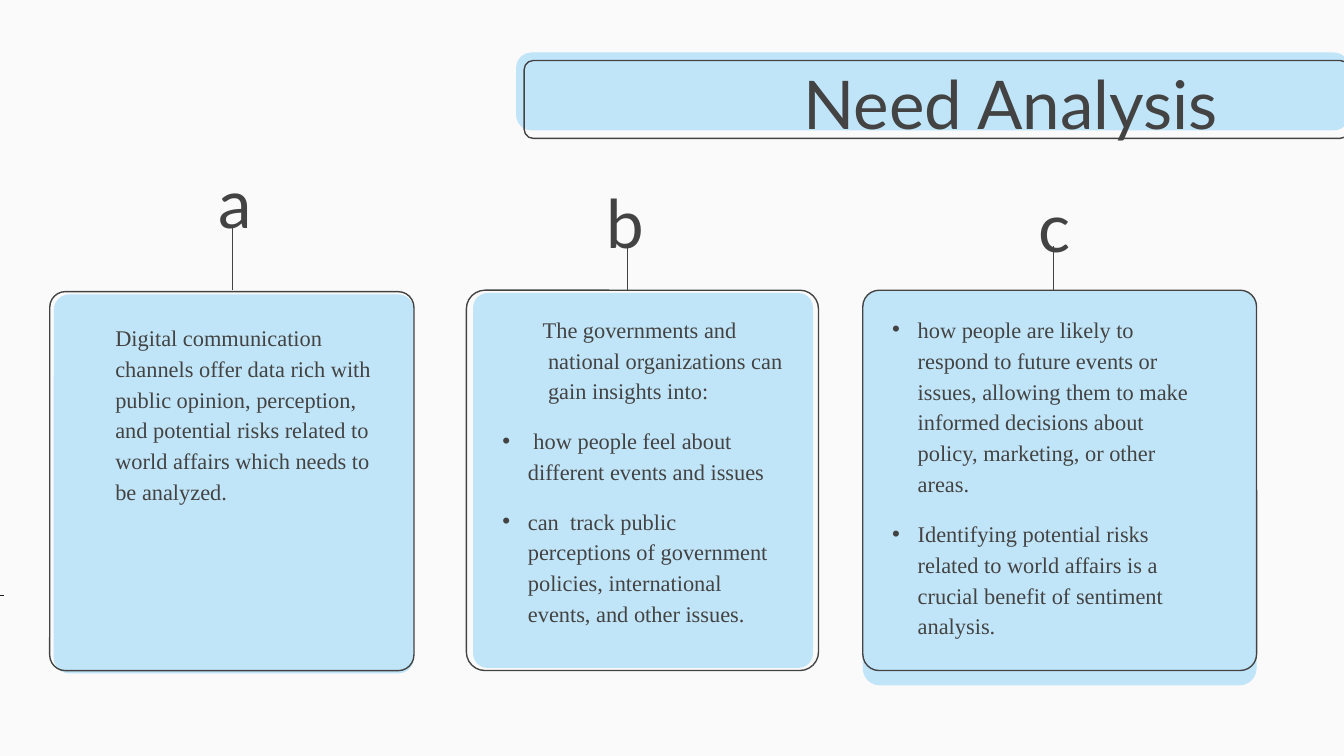
from lxml import etree
from pptx import Presentation
from pptx import util as u
from pptx.dml.color import RGBColor
from pptx.enum import shapes, text
from pptx.oxml import ns

DARK = "434343"
BLUE = "C1E5F8"
TICK = "1F1F1F"


def paint(target, color):
    if hasattr(target, "solid"):
        target.solid()
        target = target.fore_color
    elif hasattr(target, "color"):
        target = target.color
    target.rgb = RGBColor.from_string(color)


def add_text(paragraphs, left, top, width, height, font="Lato", size=36,
             align=text.PP_ALIGN.LEFT, anchor=text.MSO_ANCHOR.TOP,
             line_spacing=1.0, space_after=0):
    box = slide.shapes.add_textbox(*map(u.Inches, (left, top, width, height)))
    frame = box.text_frame
    frame.word_wrap = True
    frame.vertical_anchor = anchor
    frame.margin_left = frame.margin_right = u.Inches(0.1)
    frame.margin_top = frame.margin_bottom = u.Inches(0.1)
    for index, (words, margin, indent, bullet) in enumerate(paragraphs):
        paragraph = frame.paragraphs[0] if index == 0 else frame.add_paragraph()
        paragraph.alignment = align
        paragraph.line_spacing = line_spacing
        paragraph.space_after = u.Pt(space_after)
        run = paragraph.add_run()
        run.text = words
        run.font.name = font
        run.font.size = u.Pt(size)
        paint(run.font, DARK)
        properties = paragraph._p.get_or_add_pPr()
        properties.set("marL", str(u.Inches(margin)))
        properties.set("indent", str(u.Inches(indent)))
        if bullet:
            properties.set("marR", str(u.Inches(0.12)))
            bullet_color = etree.SubElement(properties, ns.qn("a:buClr"))
            etree.SubElement(bullet_color, ns.qn("a:srgbClr"), val=DARK)
            etree.SubElement(properties, ns.qn("a:buFont"), typeface="Arial")
            etree.SubElement(properties, ns.qn("a:buChar"), char="•")
        else:
            etree.SubElement(properties, ns.qn("a:buNone"))


presentation = Presentation()
presentation.slide_width = u.Inches(10)
presentation.slide_height = u.Inches(10) * 9 // 16
slide = presentation.slides.add_slide(presentation.slide_layouts[6])
paint(slide.background.fill, "FAFAFA")

panels = [
    ((3.84, 0.39, 6.2, 0.58), 0.199, True),
    ((3.9, 0.45, 6.14, 0.58), 0.119, False),
    ((0.4, 2.19, 2.68, 2.82), 0.043, True),
    ((0.37, 2.17, 2.71, 2.82), 0.043, False),
    ((3.52, 2.18, 2.53, 2.79), 0.043, True),
    ((3.47, 2.16, 2.62, 2.83), 0.053, False),
    ((6.42, 2.16, 2.93, 2.94), 0.043, True),
    ((6.42, 2.16, 2.93, 2.83), 0.043, False),
]
for bounds, radius, filled in panels:
    panel = slide.shapes.add_shape(
        shapes.MSO_SHAPE.ROUNDED_RECTANGLE, *map(u.Inches, bounds))
    panel.shadow.inherit = False
    panel.adjustments[0] = radius
    if filled:
        paint(panel.fill, BLUE)
        panel.line.fill.background()
    else:
        panel.fill.background()
        paint(panel.line, DARK)
        panel.line.width = u.Pt(0.75)

lines = [
    ((1.73, 2.16, 1.73, 1.7), DARK, 0.75),
    ((4.67, 2.16, 4.67, 1.83), DARK, 0.75),
    ((7.84, 2.16, 7.84, 1.83), DARK, 0.75),
    ((0, 4.43, 0.03, 4.43), TICK, 0.3),
]
for ends, color, width in lines:
    connector = slide.shapes.add_connector(
        shapes.MSO_CONNECTOR.STRAIGHT, *map(u.Inches, ends))
    paint(connector.line, color)
    connector.line.width = u.Pt(width)
    etree.SubElement(connector._element.spPr, ns.qn("a:effectLst"))

add_text([("Need Analysis", 0, 0, False)], 5.67, 0.5, 3.49, 0.53,
         align=text.PP_ALIGN.RIGHT, anchor=text.MSO_ANCHOR.MIDDLE)

for letter, left, top in [("a", 0.97, 1.03), ("b", 3.87, 1.18), ("c", 7.07, 1.21)]:
    add_text([(letter, 0, 0, False)], left, top, 1.56, 0.87,
             align=text.PP_ALIGN.CENTER, anchor=text.MSO_ANCHOR.BOTTOM)

columns = [
    ((0.26, 2.28, 2.68, 1.97), [
        ("Digital communication channels offer data rich with public opinion, "
         "perception, and potential risks related to world affairs which needs "
         "to be analyzed.", 0.5, 0, False),
    ]),
    ((3.48, 2.22, 2.53, 2.3), [
        ("The governments and national organizations can gain insights into:",
         0.5, -0.04, False),
        (" how people feel about different events and issues", 0.35, -0.19, True),
        ("can  track public perceptions of government policies, international "
         "events, and other issues.", 0.35, -0.19, True),
    ]),
    ((6.38, 2.22, 2.71, 2.11), [
        ("how people are likely to respond to future events or issues, allowing "
         "them to make informed decisions about policy, marketing, or other "
         "areas.", 0.35, -0.19, True),
        ("Identifying potential risks related to world affairs is a crucial "
         "benefit of sentiment analysis.", 0.35, -0.19, True),
    ]),
]
for bounds, paragraphs in columns:
    add_text(paragraphs, *bounds, font="Times New Roman", size=12,
             line_spacing=1.15, space_after=10)

presentation.save("out.pptx")
